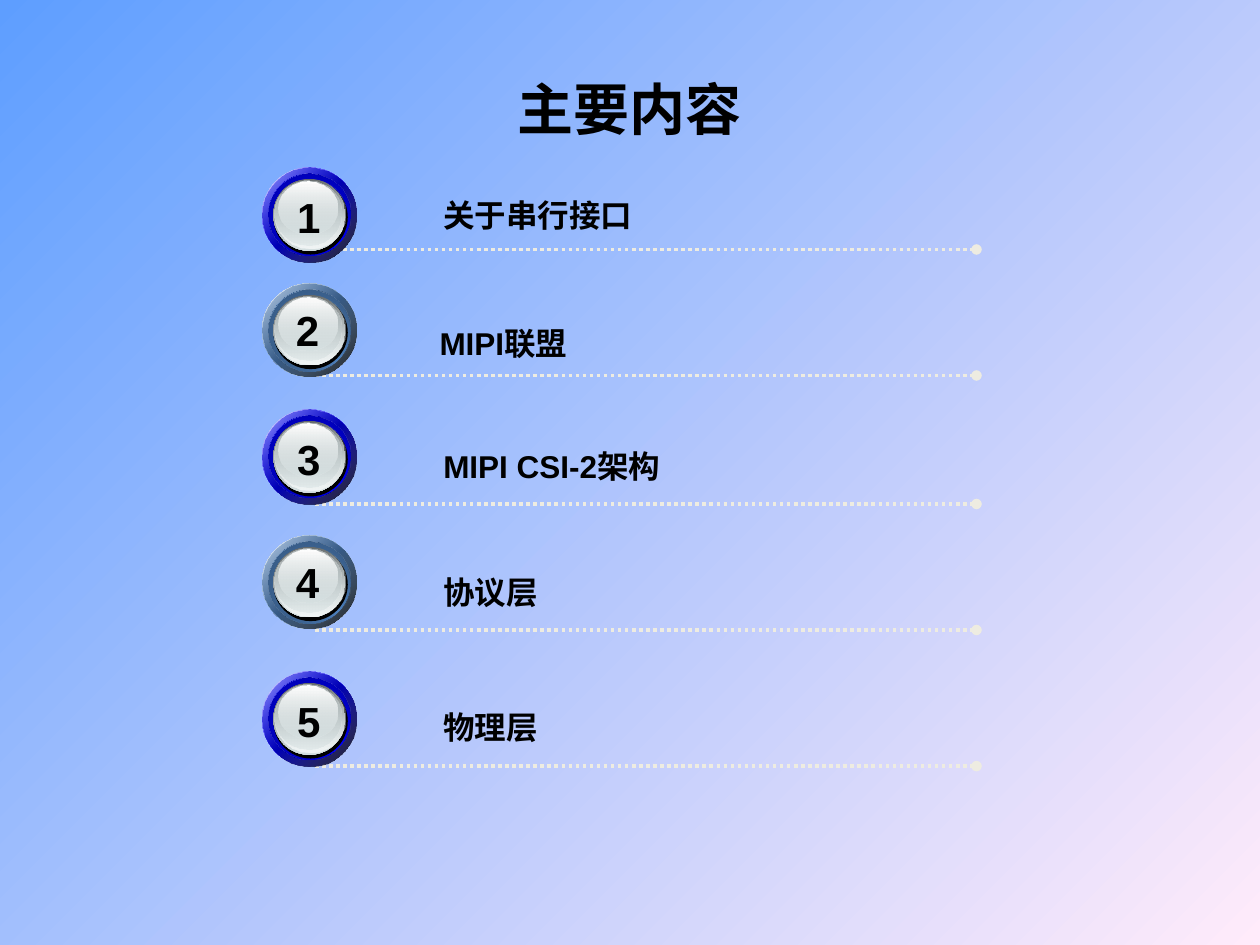
from pptx import Presentation
from pptx.dml.color import RGBColor
from pptx.enum.dml import MSO_LINE
from pptx.enum.shapes import MSO_CONNECTOR, MSO_SHAPE
from pptx.enum.text import MSO_ANCHOR, MSO_AUTO_SIZE, PP_ALIGN
from pptx.oxml.ns import qn
from pptx.util import Inches, Pt
from lxml.etree import SubElement

BLACK = RGBColor(0x00, 0x00, 0x00)
WHITE = RGBColor(0xFF, 0xFF, 0xFF)
CREAM = RGBColor(0xEE, 0xEC, 0xE1)
SKY = RGBColor(0x5E, 0x9E, 0xFF)
PINK = RGBColor(0xFF, 0xEB, 0xFA)
SLATE = RGBColor(0x63, 0x68, 0x69)
GRAY = RGBColor(0xAA, 0xB2, 0xB3)
SILVER = RGBColor(0xD6, 0xE1, 0xE2)
PALE = RGBColor(0xF1, 0xF5, 0xF5)
BLUE_RING = (RGBColor(0x00, 0x00, 0xFF), RGBColor(0x00, 0x00, 0x8A), RGBColor(0x00, 0x00, 0xA2))
STEEL_RING = (RGBColor(0x4F, 0x81, 0xBD), RGBColor(0x2B, 0x46, 0x66), RGBColor(0x32, 0x52, 0x78))

TITLE = "主要内容"
TOPICS = [
    {"text": "关于串行接口", "left": 3.42, "top": 1.51, "width": 1.8, "badge": 1.33, "line": 1.98},
    {"text": "MIPI联盟", "left": 3.39, "top": 2.52, "width": 1.4, "badge": 2.25, "line": 2.98},
    {"text": "MIPI CSI-2架构", "left": 3.42, "top": 3.5, "width": 2.33, "badge": 3.25, "line": 4},
    {"text": "协议层", "left": 3.42, "top": 4.5, "width": 2.24, "badge": 4.25, "line": 5},
    {"text": "物理层", "left": 3.42, "top": 5.57, "width": 2.58, "badge": 5.33, "line": 6.08},
]
BADGE_LEFT = 2.08
LINE_LEFT, LINE_RIGHT = 2.5, 7.75


def badge_layers(ring, size):
    main, dark, medium = ring
    return [
        ((0, 0, 0.75, size), 45, [(0, WHITE, 100), (50, main, 100), (100, WHITE, 100)]),
        ((0, 0, 0.75, size), 45, [(0, main, 32), (100, BLACK, 90)]),
        ((0.05, 0.05, 0.65, 0.65), 315, [(0, dark, 100), (50, main, 100), (100, dark, 100)]),
        ((0.05, 0.05, 0.65, 0.65), 45, [(0, medium, 100), (100, main, 0)]),
        ((0.09, 0.1, 0.59, size - 0.16), 0, None),
        ((0.09, 0.09, 0.57, size - 0.18), 90, [(0, SLATE, 100), (100, SILVER, 100)]),
        ((0.1, 0.09, 0.56, 0.55), 90, [(0, SILVER, 0), (100, PALE, 100)]),
        ((0.1, 0.1, 0.53, size - 0.23), 90, [(0, GRAY, 100), (100, SILVER, 48)]),
        ((0.13, 0.11, 0.47, 0.42), 90, [(0, WHITE, 100), (100, SILVER, 38)]),
    ]


def paint_gradient(fill, element, stops, angle):
    fill.gradient()
    fill.gradient_angle = (360 - angle) % 360
    stop_list = element.find(".//" + qn("a:gsLst"))
    for old_stop in list(stop_list):
        stop_list.remove(old_stop)
    for position, color, opacity in stops:
        stop = SubElement(stop_list, qn("a:gs"), pos=str(position * 1000))
        color_element = SubElement(stop, qn("a:srgbClr"), val=str(color))
        if opacity < 100:
            SubElement(color_element, qn("a:alpha"), val=str(opacity * 1000))


def write(frame, text, size, alignment):
    frame.text = text
    paragraph = frame.paragraphs[0]
    paragraph.alignment = alignment
    paragraph.font.name = "Arial"
    paragraph.font.size = Pt(size)
    paragraph.font.bold = True
    paragraph.font.color.rgb = BLACK


def add_label(shapes, box, text, size, alignment, wrap):
    frame = shapes.add_textbox(*map(Inches, box)).text_frame
    frame.word_wrap = wrap
    frame.auto_size = MSO_AUTO_SIZE.SHAPE_TO_FIT_TEXT
    write(frame, text, size, alignment)


def add_dotted_line(slide, top):
    connector = slide.shapes.add_connector(
        MSO_CONNECTOR.STRAIGHT, Inches(LINE_LEFT), Inches(top), Inches(LINE_RIGHT), Inches(top))
    connector.line.color.rgb = CREAM
    connector.line.width = Pt(2)
    connector.line.dash_style = MSO_LINE.ROUND_DOT
    properties = connector.element.spPr
    SubElement(properties.find(qn("a:ln")), qn("a:tailEnd"), type="oval")
    SubElement(properties, qn("a:effectLst"))


def add_badge(slide, number, top):
    is_blue = number % 2 == 1
    ring, size = (BLUE_RING, 0.75) if is_blue else (STEEL_RING, 0.74)
    shapes = slide.shapes.add_group_shape().shapes
    for (left, down, width, height), angle, stops in badge_layers(ring, size):
        disc = shapes.add_shape(
            MSO_SHAPE.OVAL, Inches(BADGE_LEFT + left), Inches(top + down), Inches(width), Inches(height))
        disc.shadow.inherit = False
        disc.line.fill.background()
        if stops:
            paint_gradient(disc.fill, disc.element, stops, angle)
        else:
            disc.fill.solid()
            disc.fill.fore_color.rgb = BLACK
    across, down = (0.18, 0.14) if is_blue else (0.17, 0.12)
    add_label(shapes, (BADGE_LEFT + across, top + down, 0.38, 0.5), str(number), 24,
              PP_ALIGN.CENTER, False)


def main():
    presentation = Presentation()
    presentation.slide_width, presentation.slide_height = Inches(10), Inches(7.5)
    slide = presentation.slides.add_slide(presentation.slide_layouts[5])
    paint_gradient(slide.background.fill, slide.element, [(0, SKY, 100), (100, PINK, 100)], 45)

    title = slide.shapes.title
    title.left, title.top, title.width, title.height = map(Inches, (0.5, 0.55, 9, 0.62))
    title.text_frame.vertical_anchor = MSO_ANCHOR.MIDDLE
    title.text_frame.auto_size = MSO_AUTO_SIZE.NONE
    write(title.text_frame, TITLE, 32, PP_ALIGN.CENTER)

    for number, topic in enumerate(TOPICS, 1):
        add_dotted_line(slide, topic["line"])
        add_label(slide.shapes, (topic["left"], topic["top"], topic["width"], 0.4),
                  topic["text"], 18, PP_ALIGN.LEFT, True)
        add_badge(slide, number, topic["badge"])
    presentation.save("out.pptx")


if __name__ == "__main__":
    main()
